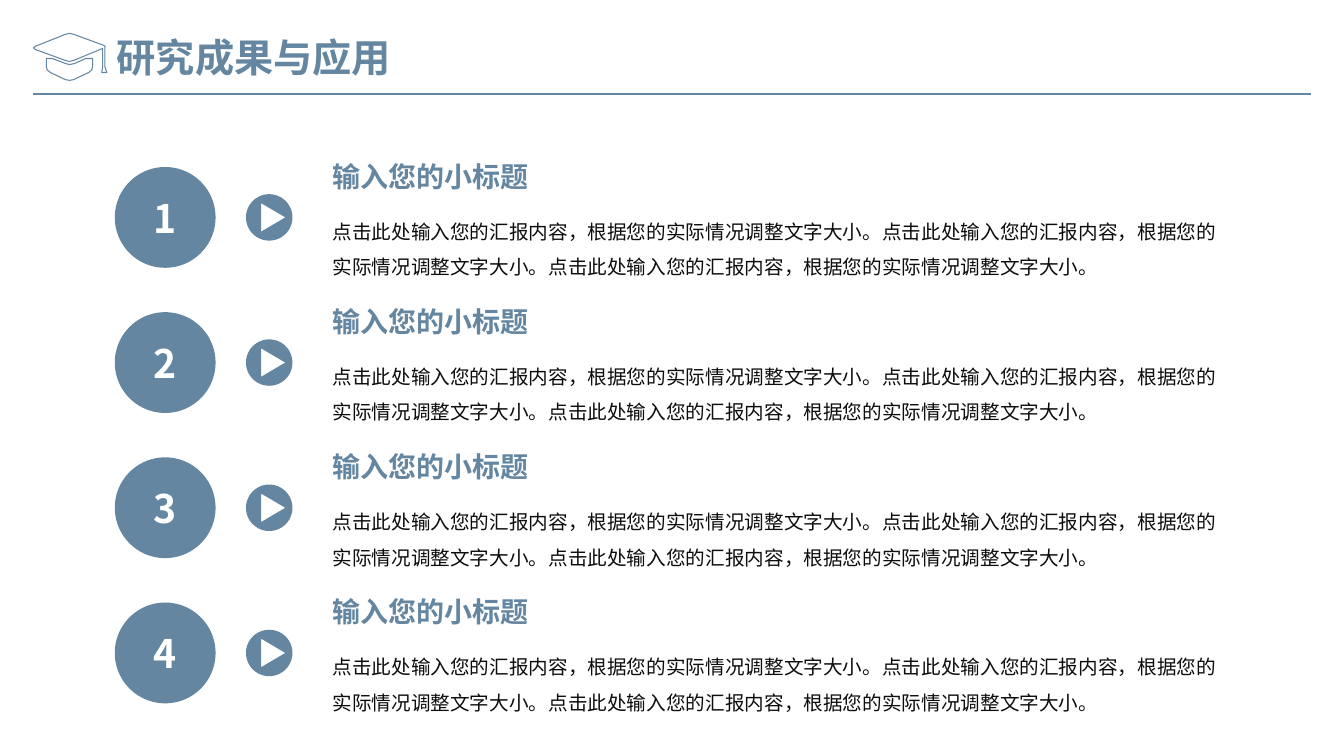
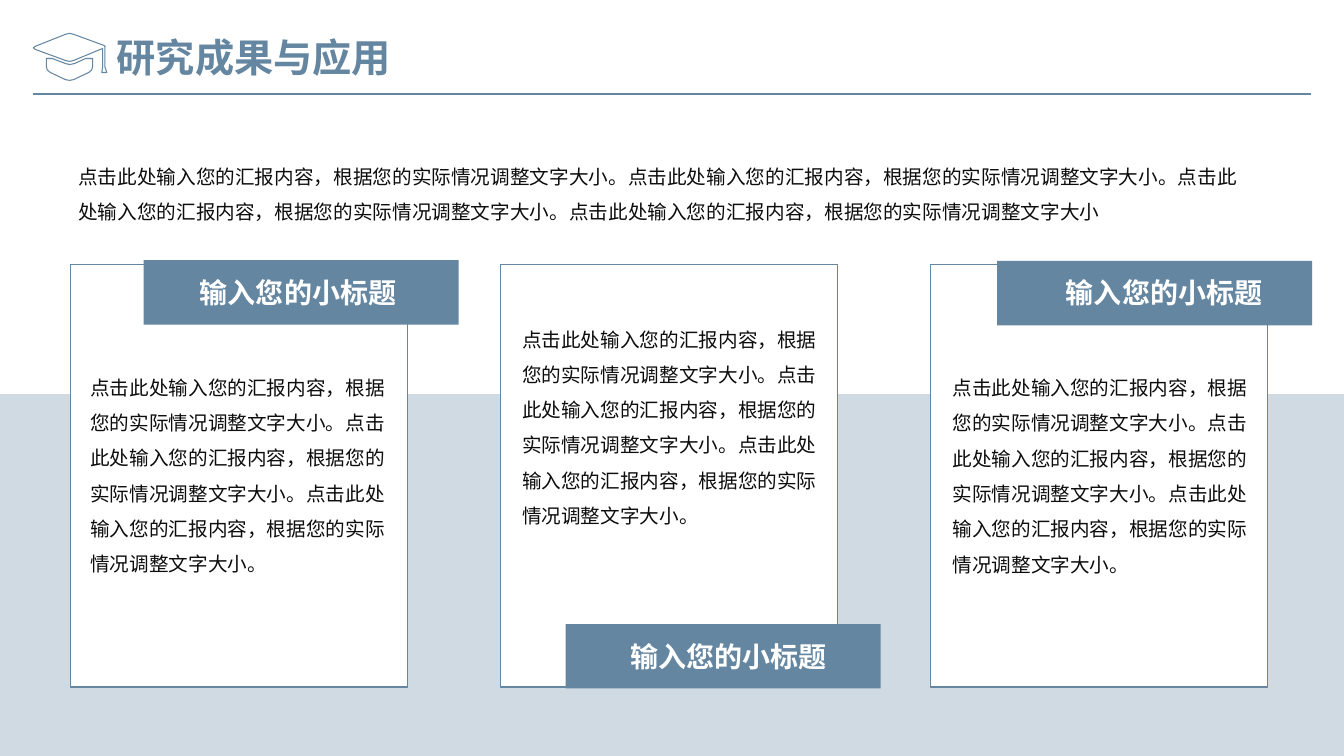
import lxml.etree
import pptx
import pptx.dml.color
import pptx.enum.shapes
import pptx.enum.text
import pptx.oxml.ns
import pptx.util

Pt = pptx.util.Pt
ALIGN = pptx.enum.text.PP_ALIGN
SHAPES = pptx.enum.shapes.MSO_SHAPE

COLORS = {"accent": "6486A1", "white": "FFFFFF", "body": "0D0D0D"}
FONT = "Noto Sans CJK SC"
TITLE = "研究成果与应用"
SUBTITLE = "输入您的小标题"
SENTENCE = "点击此处输入您的汇报内容，根据您的实际情况调整文字大小。"
QUARTER_TURN = 90 * 60000

CAP_BASE = [
    (33.1, 41.8), (37.4, 41.8), (46.8, 45.4), (49.7, 46.1), (53.3, 45.4),
    (61.2, 41.8), (66.2, 41.8), (66.2, 47.5), (65.5, 50), (63.4, 51.8),
    (52.6, 56.9), (49.7, 57.4), (46.8, 56.9), (36, 51.8), (33.8, 50), (33.1, 47.5),
]
CAP_BOARD = [
    (49.7, 23.8), (52.6, 24.5), (74.2, 32.4), (75.2, 33.1), (74.9, 33.8),
    (74.9, 47.5), (76.3, 51.8), (72.7, 51.8), (73.4, 47.5), (73.4, 34.6),
    (52.6, 43.2), (49.7, 43.9), (46.8, 43.2), (25.2, 35.3), (23.8, 34.2),
    (25.2, 33.1), (46.8, 24.5),
]


def color(name):
    return pptx.dml.color.RGBColor.from_string(COLORS[name])


def add_element(parent, tag, **attributes):
    return lxml.etree.SubElement(parent, pptx.oxml.ns.qn(tag), attributes)


def write_text(shape, text, size=14, ink="body", bold=False, align=ALIGN.LEFT, spacing=None):
    paragraph = shape.text_frame.paragraphs[0]
    paragraph.alignment = align
    paragraph.line_spacing = spacing
    run = paragraph.add_run()
    run.text = text
    run.font.size = Pt(size)
    run.font.bold = bold
    run.font.color.rgb = color(ink)
    run.font.name = FONT
    add_element(run.font._element, "a:ea", typeface=FONT)


class Deck:
    def __init__(self):
        self.presentation = pptx.Presentation()
        self.presentation.slide_width = Pt(960)
        self.presentation.slide_height = Pt(540)
        self.slide = None

    def new_slide(self):
        self.slide = self.presentation.slides.add_slide(self.presentation.slide_layouts[6])

    def header(self):
        self.outline([CAP_BASE, CAP_BOARD], line="accent", width=0.75)
        self.rule(23.8, 67, 936.3, 67)
        self.text(76.3, 20.2, 329.8, 41, TITLE, size=28, ink="accent", bold=True, align=ALIGN.JUSTIFY)

    def style(self, shape, fill=None, line=None, width=1.0, alpha=None):
        shape.shadow.inherit = False
        if fill:
            shape.fill.solid()
            shape.fill.fore_color.rgb = color(fill)
            if alpha:
                value = shape.fill._xPr.find(".//" + pptx.oxml.ns.qn("a:srgbClr"))
                add_element(value, "a:alpha", val=str(alpha * 1000))
        else:
            shape.fill.background()
        if line:
            shape.line.color.rgb = color(line)
            shape.line.width = Pt(width)
        else:
            shape.line.fill.background()

    def shape(self, kind, left, top, width, height, **look):
        shape = self.slide.shapes.add_shape(kind, Pt(left), Pt(top), Pt(width), Pt(height))
        self.style(shape, **look)
        return shape

    def outline(self, contours, **look):
        builder = None
        for contour in contours:
            points = [(Pt(x), Pt(y)) for x, y in contour]
            if builder is None:
                builder = self.slide.shapes.build_freeform(*points[0])
            else:
                builder.move_to(*points[0])
            builder.add_line_segments(points[1:], close=True)
        shape = builder.convert_to_shape()
        self.style(shape, **look)
        return shape

    def rule(self, x1, y1, x2, y2):
        connector = self.slide.shapes.add_connector(
            pptx.enum.shapes.MSO_CONNECTOR.STRAIGHT, Pt(x1), Pt(y1), Pt(x2), Pt(y2))
        connector.line.color.rgb = color("accent")
        connector.line.width = Pt(1.5)
        add_element(connector._element.spPr, "a:effectLst")

    def text(self, left, top, width, height, text, **text_format):
        box = self.slide.shapes.add_textbox(Pt(left), Pt(top), Pt(width), Pt(height))
        box.text_frame.word_wrap = True
        box.text_frame.auto_size = pptx.enum.text.MSO_AUTO_SIZE.SHAPE_TO_FIT_TEXT
        write_text(box, text, **text_format)

    def body(self, left, top, width, height, text):
        self.text(left, top, width, height, text, spacing=1.5)

    def play_button(self, x, y, radius=16.6):
        disc = [(x + radius, y), (x, y + radius), (x - radius, y), (x, y - radius), (x + radius, y)]
        triangle = [(x - 5.8, y - 10.2), (x - 5.8, y + 10.2), (x + 11.5, y)]
        button = self.outline([disc, triangle], fill="accent")
        sides = list(button._element.iter(pptx.oxml.ns.qn("a:lnTo")))[:4]
        for index, side in enumerate(sides):
            arc = add_element(
                side.getparent(), "a:arcTo", wR=str(Pt(radius)), hR=str(Pt(radius)),
                stAng=str(index * QUARTER_TURN), swAng=str(QUARTER_TURN))
            side.getparent().replace(side, arc)

    def numbered_row(self, number, top):
        circle = self.shape(SHAPES.OVAL, 82, top, 72, 72, fill="accent")
        write_text(circle, str(number), size=28, ink="white", bold=True, align=ALIGN.CENTER)
        self.play_button(192.3, top + 36)
        self.text(230.4, top - 9.2, 173.5, 31.5, SUBTITLE, size=20, ink="accent", bold=True)
        self.body(230.4, top + 25.8, 647.3, 55.4, SENTENCE * 3)

    def card(self, left, band, label, body):
        self.shape(SHAPES.RECTANGLE, left, 188.9, 240.8, 301.9, fill="white", line="accent")
        self.shape(SHAPES.RECTANGLE, *band, 225, 46, fill="accent")
        self.text(*label, 179.3, 31.5, SUBTITLE, size=20, ink="white", bold=True, align=ALIGN.CENTER)
        self.body(*body, 225.2, 157, SENTENCE * 3)


def numbered_slide(deck):
    deck.new_slide()
    for index in range(4):
        deck.numbered_row(index + 1, 119.3 + index * 103.7)
    deck.header()


def card_slide(deck):
    deck.new_slide()
    deck.shape(SHAPES.RECTANGLE, 0, 281.5, 960, 258.5, fill="accent", alpha=30)
    cards = [
        ((102.7, 185.8), (123.3, 193), (57.4, 256.5)),
        ((404.1, 445.8), (430.8, 453), (365.8, 222)),
        ((712.2, 186.4), (741.9, 193), (673.3, 256.7)),
    ]
    for index, (band, label, body) in enumerate(cards):
        deck.card(50.2 + index * 307.2, band, label, body)
    deck.body(48.8, 106, 856.2, 55.4, (SENTENCE * 4).rstrip("。"))
    deck.header()


def main():
    deck = Deck()
    numbered_slide(deck)
    card_slide(deck)
    deck.presentation.save("out.pptx")


if __name__ == "__main__":
    main()
